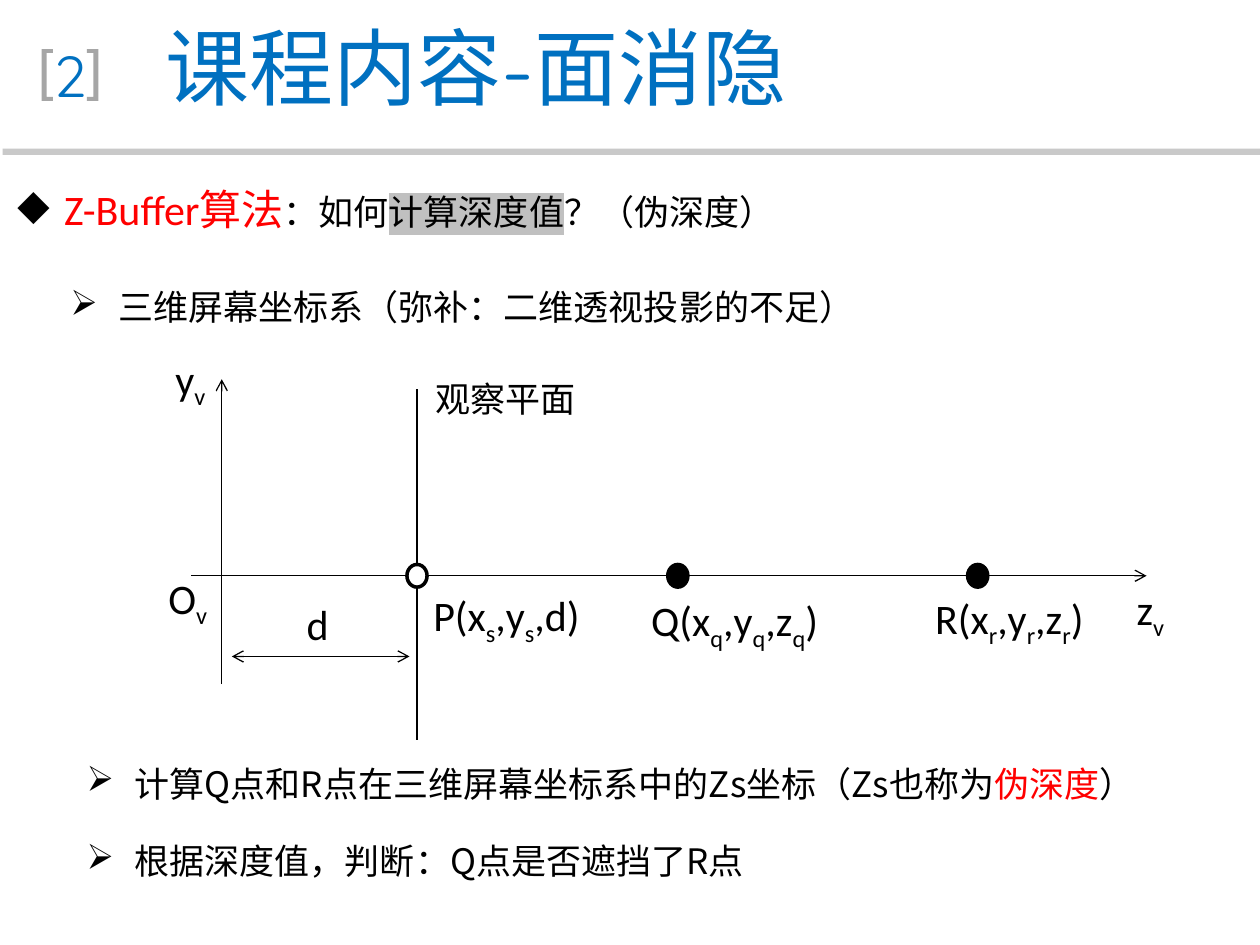
"""Build the Z-buffer pseudo-depth slide."""
from lxml import etree
from pptx import Presentation
from pptx.dml.color import RGBColor
from pptx.enum.shapes import MSO_CONNECTOR, MSO_SHAPE
from pptx.enum.text import MSO_ANCHOR, PP_ALIGN
from pptx.oxml.ns import qn
from pptx.util import Inches, Pt

STRAIGHT = MSO_CONNECTOR.STRAIGHT
RECTANGLE, OVAL = MSO_SHAPE.RECTANGLE, MSO_SHAPE.OVAL
CENTER = PP_ALIGN.CENTER
TOP, MIDDLE = MSO_ANCHOR.TOP, MSO_ANCHOR.MIDDLE

COLORS = {"blue": "0070C0", "gray": "A6A6A6", "black": "000000", "red": "FF0000",
          "white": "FFFFFF", "highlight": "C0C0C0"}
TITLE_FONT, LABEL_FONT, BODY_FONT = "Quicksand", "Calibri", "Noto Sans CJK SC"

PAGE_NUMBER = ("2", (0.32, 0.27, 0.47, 0.64))
TITLE = ("课程内容-面消隐", (0.78, 0.07, 6, 0.91))
HEADING = [
    ("Z-Buffer算法", {"size": 24, "color": "red"}),
    ("：如何", {}),
    ("计算深度值", {"highlight": "highlight"}),
    ("？（伪深度）", {}),
]
COORDINATE_NOTE = [[("三维屏幕坐标系（弥补：二维透视投影的不足）", {})]]
DEPTH_NOTES = [
    [("计算Q点和R点在三维屏幕坐标系中的Zs坐标（Zs也称为", {}), ("伪深度", {"color": "red"}), ("）", {})],
    [("根据深度值，判断：Q点是否遮挡了R点", {})],
]

AXIS_Y, PLANE_X = 4.57, 3.31
LINES = [
    ((1.52, AXIS_Y), (9.1, AXIS_Y), ["tailEnd"]),
    ((1.76, 5.43), (1.76, 3.01), ["tailEnd"]),
    ((PLANE_X, 3.09), (PLANE_X, 5.87), []),
    ((1.84, 5.21), (3.25, 5.21), ["headEnd", "tailEnd"]),
]
POINTS = [(PLANE_X, "white"), (5.38, "black"), (7.76, "black")]
POINT_WIDTH, POINT_HEIGHT = 0.16, 0.18
LABELS = [
    ("O_v", 0.9, 4.52, 0.89, 24),
    ("y_v", 0.92, 2.78, 0.89, 24),
    ("d", 1.93, 4.7, 0.89, 24),
    ("z_v", 8.54, 4.61, 0.89, 24),
    ("观察平面", 2.87, 2.91, 2, 20),
    ("P(x_s,y_s,d)", 2.73, 4.66, 2.29, 24),
    ("Q(x_q,y_q,z_q)", 4.54, 4.7, 2.29, 24),
    ("R(x_r,y_r,z_r)", 6.72, 4.68, 2.29, 24),
]
LABEL_HEIGHT = 0.5
BRACKETS = [(0.33, 1), (0.78, -1)]
BRACKET_OUTLINE = [(0, 0), (0.09, 0), (0.09, 0.03), (0.04, 0.03),
                   (0.04, 0.38), (0.09, 0.38), (0.09, 0.41), (0, 0.41)]


def rgb(name):
    return RGBColor.from_string(COLORS[name])


def add_child(parent, tag, **attributes):
    return etree.SubElement(parent, qn(tag), attributes)


def add_run(paragraph, text, size, font, color, highlight=None, subscript=False):
    run = paragraph.add_run()
    run.text = text
    run.font.size = Pt(size)
    run.font.color.rgb = rgb(color)
    properties = run.font._element
    if highlight:
        add_child(add_child(properties, "a:highlight"), "a:srgbClr", val=COLORS[highlight])
    if subscript:
        properties.set("baseline", "-25000")
    run.font.name = font
    add_child(properties, "a:ea", typeface=font)


def add_text(slide, paragraphs, box, size=20, font=BODY_FONT, color="black", align=None,
             anchor=TOP, wrap=True, bullet=None, margin=0, indent=0,
             line_spacing=None, before=None, after=None):
    frame = slide.shapes.add_textbox(*map(Inches, box)).text_frame
    frame.word_wrap = wrap
    frame.vertical_anchor = anchor
    for index, runs in enumerate(paragraphs):
        paragraph = frame.add_paragraph() if index else frame.paragraphs[0]
        paragraph.alignment = align
        paragraph.line_spacing = line_spacing
        paragraph.space_before = before
        paragraph.space_after = after
        properties = paragraph._p.get_or_add_pPr()
        properties.set("marL", str(Inches(margin)))
        properties.set("indent", str(Inches(indent)))
        if bullet:
            add_child(add_child(properties, "a:buClr"), "a:srgbClr", val=COLORS["black"])
            add_child(properties, "a:buChar", char=bullet)
        for text, changes in runs:
            add_run(paragraph, text, **{"size": size, "font": font, "color": color, **changes})


def label_runs(label):
    first, *rest = label.split("_")
    runs = [(first, {})]
    for part in rest:
        runs.append((part[0], {"subscript": True}))
        if part[1:]:
            runs.append((part[1:], {}))
    return runs


def paint(shape, fill, line=None):
    shape.shadow.inherit = False
    shape.fill.solid()
    shape.fill.fore_color.rgb = rgb(fill)
    if line:
        shape.line.color.rgb = rgb(line)
        shape.line.width = Pt(2)
    else:
        shape.line.fill.background()


def add_line(slide, start, end, arrows):
    connector = slide.shapes.add_connector(STRAIGHT, *map(Inches, start + end))
    connector.line.color.rgb = rgb("black")
    connector.line.width = Pt(0.75)
    for arrow in arrows:
        add_child(connector.line._get_or_add_ln(), f"a:{arrow}", type="arrow")
    add_child(connector._element.spPr, "a:effectLst")


def add_header(slide):
    header = {"font": TITLE_FONT, "color": "blue", "align": CENTER, "anchor": MIDDLE}
    number, box = PAGE_NUMBER
    add_text(slide, [[(number, {})]], box, size=33, wrap=False, **header)
    for left, direction in BRACKETS:
        corners = [(Inches(left + direction * x), Inches(0.39 + y)) for x, y in BRACKET_OUTLINE]
        builder = slide.shapes.build_freeform(*corners[0])
        builder.add_line_segments(corners[1:], close=True)
        paint(builder.convert_to_shape(), "gray")
    title, box = TITLE
    add_text(slide, [[(title, {})]], box, size=48, **header)
    rule = slide.shapes.add_shape(RECTANGLE, *map(Inches, (0.02, 1.18, 9.98, 0.05)))
    paint(rule, "gray")
    add_child(rule._element.spPr.find(".//" + qn("a:srgbClr")), "a:alpha", val="60000")


def add_diagram(slide):
    for line in LINES:
        add_line(slide, *line)
    for x, fill in POINTS:
        box = (x - POINT_WIDTH / 2, AXIS_Y - POINT_HEIGHT / 2, POINT_WIDTH, POINT_HEIGHT)
        paint(slide.shapes.add_shape(OVAL, *map(Inches, box)), fill, "black")
    for label, left, top, width, size in LABELS:
        add_text(slide, [label_runs(label)], (left, top, width, LABEL_HEIGHT), size=size,
                 font=LABEL_FONT, align=CENTER, anchor=MIDDLE, indent=0.29)


def main():
    presentation = Presentation()
    presentation.slide_width, presentation.slide_height = Inches(10), Inches(7.5)
    slide = presentation.slides.add_slide(presentation.slide_layouts[6])
    add_header(slide)
    add_text(slide, [HEADING], (0.04, 1.31, 9.91, 4.71), font=LABEL_FONT, bullet="◆",
             margin=0.37, indent=-0.37, line_spacing=1.25, after=Pt(6))
    notes = {"bullet": "➢", "margin": 0.38, "indent": -0.38, "line_spacing": 1.6, "before": Pt(6)}
    add_text(slide, COORDINATE_NOTE, (0.46, 2.02, 9.1, 0.64), **notes)
    add_diagram(slide)
    add_text(slide, DEPTH_NOTES, (0.59, 5.8, 9.1, 1.26), **notes)
    presentation.save("out.pptx")


if __name__ == "__main__":
    main()
